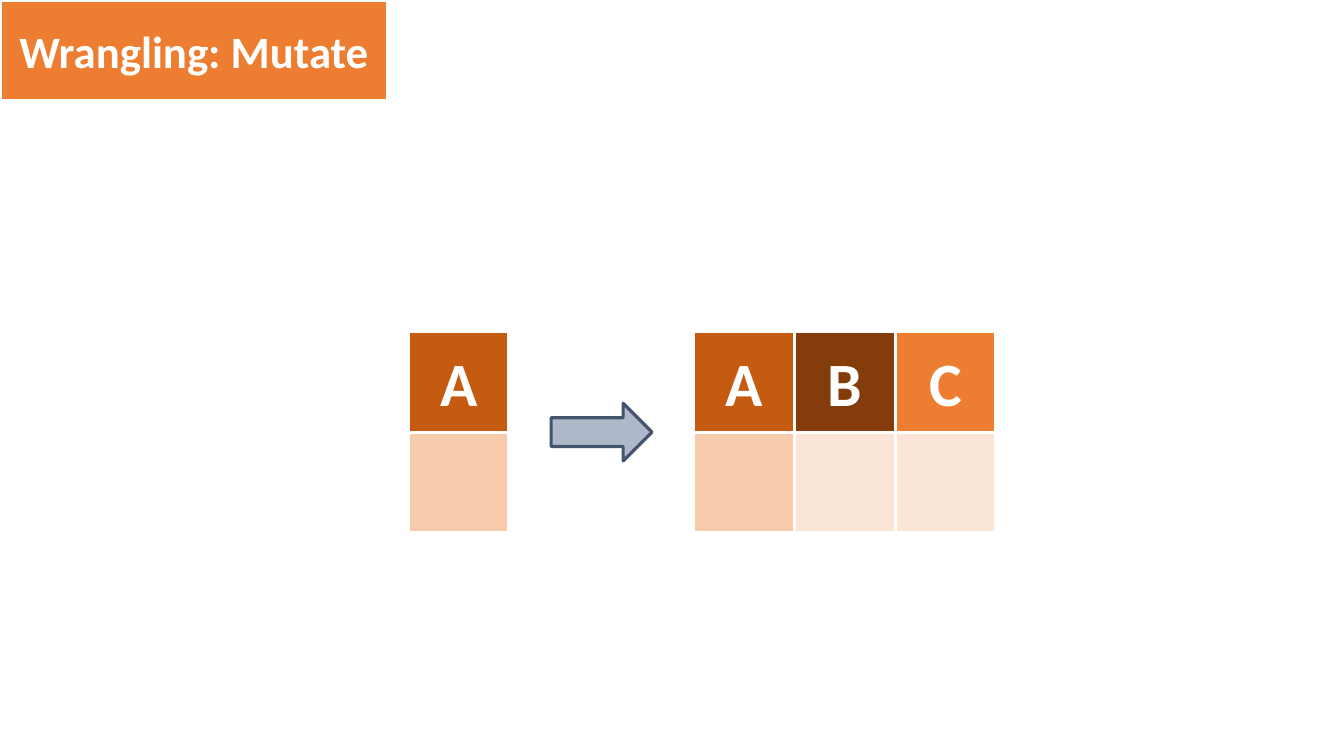
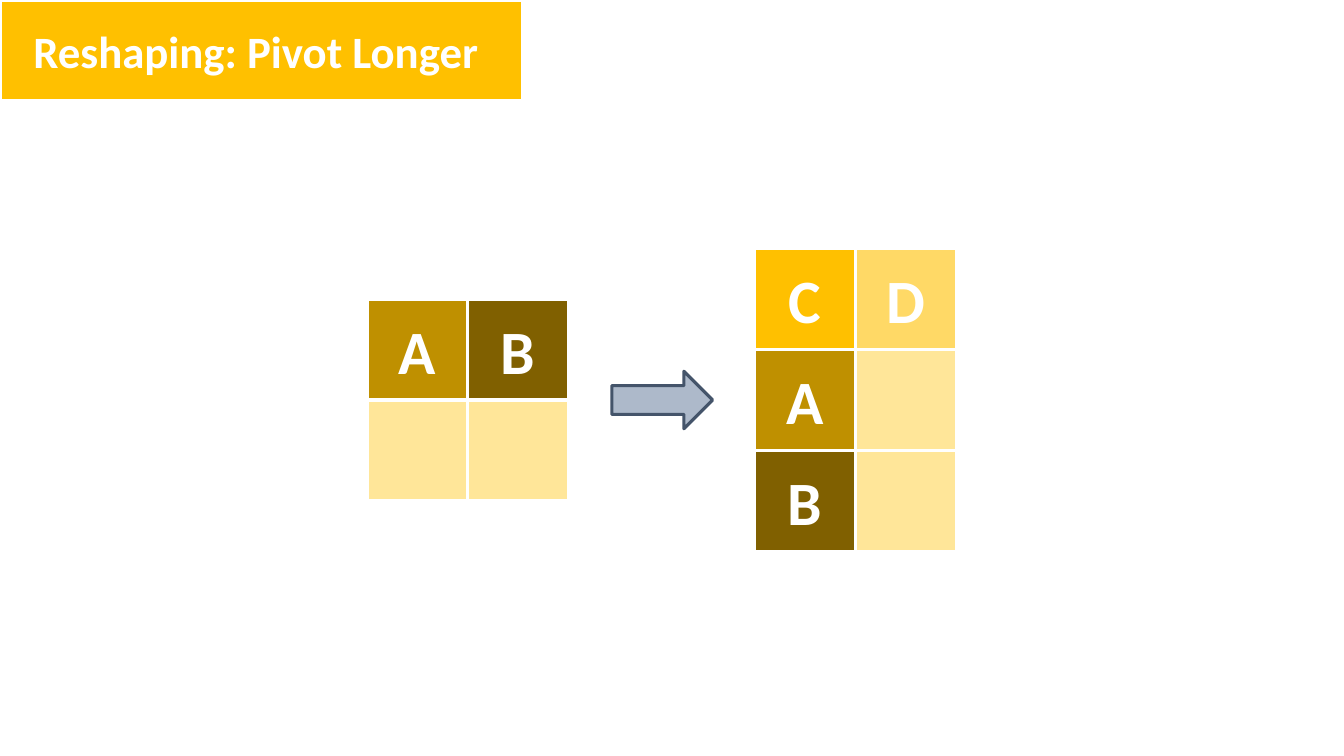
from dataclasses import dataclass

from pptx import Presentation
from pptx.dml.color import RGBColor
from pptx.enum.shapes import MSO_SHAPE as Preset
from pptx.enum.text import MSO_ANCHOR as Anchor, MSO_AUTO_SIZE as AutoSize, PP_ALIGN as Align
from pptx.shapes.base import BaseShape
from pptx.slide import Slide
from pptx.util import Cm, Pt

# Shared look
WHITE = "FFFFFF"
ARROW_FILL, ARROW_LINE = "ADB9CA", "44546A"
ORANGE, DARK_ORANGE, BROWN = "ED7D31", "C55A11", "843C0B"
PEACH, PALE_PEACH = "F8CBAD", "FBE5D6"
GOLD, DARK_GOLD, OLIVE = "FFC000", "BF9000", "806000"
LIGHT_GOLD, PALE_GOLD = "FFD966", "FFE699"

LINE_WIDTH = Pt(2.25)
CELL = 2.54
ARROW_WIDTH, ARROW_HEIGHT = 2.54, 1.45
TITLE_HEIGHT = 2.54
TITLE_SIZE, LETTER_SIZE = 32, 44
TITLE_ONLY = 5


@dataclass(frozen=True)
class Cell:
    fill: str
    letter: str = ""


@dataclass(frozen=True)
class Grid:
    left: float
    rows: tuple[tuple[Cell, ...], ...]


@dataclass(frozen=True)
class Page:
    title: str
    title_width: float
    title_fill: str
    middle: float
    arrow_left: float
    grids: tuple[Grid, ...]


# Cells that keep their colour wherever they appear
MUTATE_A = Cell(DARK_ORANGE, "A")
PIVOT_A, PIVOT_B = Cell(DARK_GOLD, "A"), Cell(OLIVE, "B")
PEACH_CELL, NEW_CELL, GOLD_CELL = Cell(PEACH), Cell(PALE_PEACH), Cell(PALE_GOLD)

PAGES = (
    Page("Wrangling: Mutate", 9.78, ORANGE, 10.89, 13.89, (
        Grid(10.29, ((MUTATE_A,), (PEACH_CELL,))),
        Grid(17.48, (
            (MUTATE_A, Cell(BROWN, "B"), Cell(ORANGE, "C")),
            (PEACH_CELL, NEW_CELL, NEW_CELL),
        )),
    )),
    Page("Reshaping: Pivot Longer ", 13.16, GOLD, 10.08, 15.42, (
        Grid(9.25, ((PIVOT_A, PIVOT_B), (GOLD_CELL, GOLD_CELL))),
        Grid(19.02, (
            (Cell(GOLD, "C"), Cell(LIGHT_GOLD, "D")),
            (PIVOT_A, GOLD_CELL),
            (PIVOT_B, GOLD_CELL),
        )),
    )),
)


def color(value: str) -> RGBColor:
    return RGBColor.from_string(value)


def paint(box: BaseShape, fill: str, line: str = WHITE) -> None:
    box.fill.solid()
    box.fill.fore_color.rgb = color(fill)
    box.line.color.rgb = color(line)
    box.line.width = LINE_WIDTH


def write(box: BaseShape, text: str, size: int) -> None:
    frame = box.text_frame
    frame_format = {"word_wrap": True, "auto_size": AutoSize.NONE, "vertical_anchor": Anchor.MIDDLE}
    for name, value in frame_format.items():
        setattr(frame, name, value)
    para = frame.paragraphs[0]
    para.alignment = Align.CENTER
    span = para.add_run()
    span.text = text
    for name, value in {"name": "Calibri", "size": Pt(size), "bold": True}.items():
        setattr(span.font, name, value)
    span.font.color.rgb = color(WHITE)


def add_box(slide: Slide, preset: Preset, left: float, top: float,
            width: float, height: float) -> BaseShape:
    box = slide.shapes.add_shape(preset, Cm(left), Cm(top), Cm(width), Cm(height))
    box.shadow.inherit = False
    return box


def draw_title(slide: Slide, page: Page) -> None:
    title = slide.shapes.title
    place = {"left": 0, "top": 0, "width": page.title_width, "height": TITLE_HEIGHT}
    for name, value in place.items():
        setattr(title, name, Cm(value))
    paint(title, page.title_fill)
    write(title, page.title, TITLE_SIZE)


def draw_grid(slide: Slide, grid: Grid, middle: float) -> None:
    top = middle - len(grid.rows) * CELL / 2
    for row, cells in enumerate(grid.rows):
        for column, cell in enumerate(cells):
            box = add_box(slide, Preset.RECTANGLE, grid.left + column * CELL,
                          top + row * CELL, CELL, CELL)
            paint(box, cell.fill)
            if cell.letter:
                write(box, cell.letter, LETTER_SIZE)


def draw_arrow(slide: Slide, left: float, middle: float) -> None:
    arrow = add_box(slide, Preset.RIGHT_ARROW, left, middle - ARROW_HEIGHT / 2,
                    ARROW_WIDTH, ARROW_HEIGHT)
    paint(arrow, ARROW_FILL, ARROW_LINE)


def main() -> None:
    deck = Presentation()
    deck.slide_width, deck.slide_height = Cm(33.87), Cm(19.05)
    for page in PAGES:
        slide = deck.slides.add_slide(deck.slide_layouts[TITLE_ONLY])
        draw_title(slide, page)
        # Tables before and after, with the arrow between them
        for grid in page.grids:
            draw_grid(slide, grid, page.middle)
        draw_arrow(slide, page.arrow_left, page.middle)
    deck.save("out.pptx")


if __name__ == "__main__":
    main()
